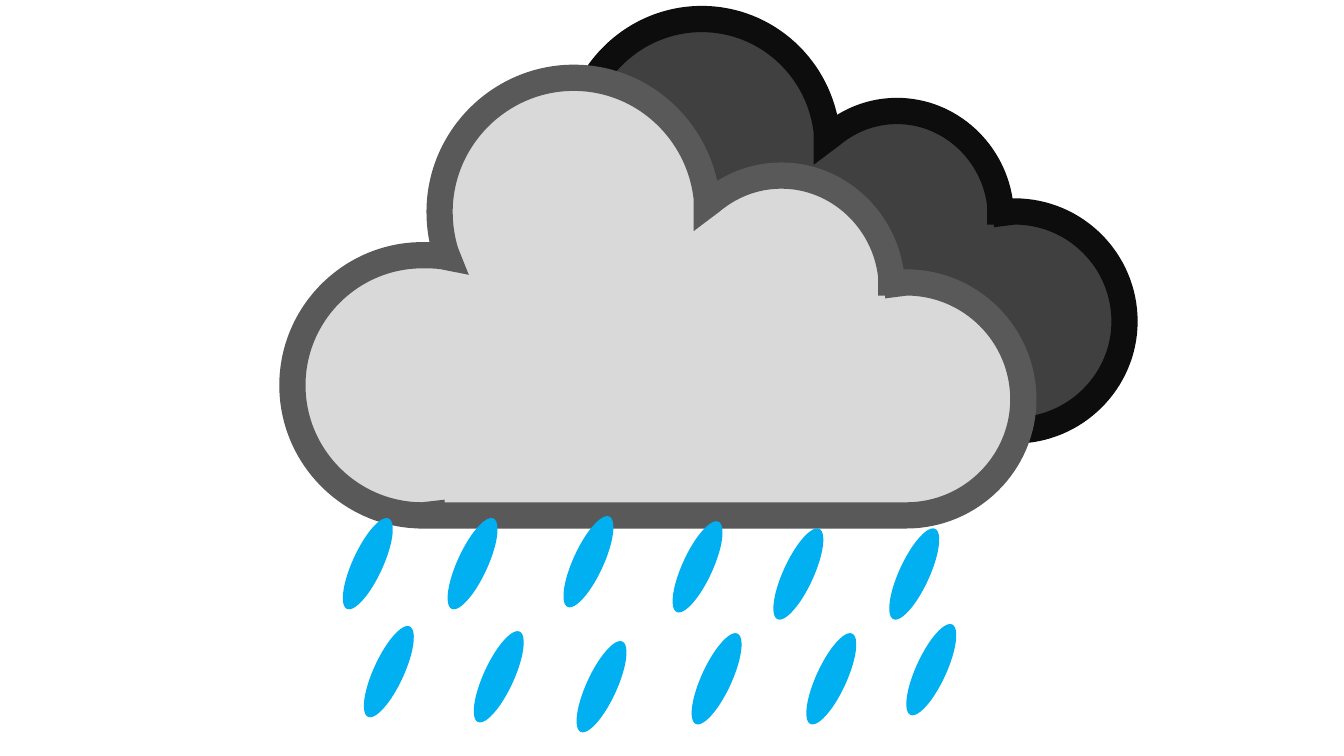
from lxml.etree import SubElement
from pptx import Presentation
from pptx.dml.color import RGBColor as Rgb
from pptx.enum.shapes import MSO_SHAPE as Kind
from pptx.oxml.ns import qn
from pptx.util import Cm, Pt

HUES = {"dark": "404040", "black": "0D0D0D", "light": "D9D9D9",
        "gray": "595959", "rain": "00B0F0"}

# Cloud outline on a 725-unit wide grid: one point is a line, three a curve.
START = (279, 0)
WIDE = 725
EDGES = [
    [(348, 0), (404, 53), (411, 120)],
    [(411, 126)],
    [(415, 123)],
    [(434, 107), (458, 97), (485, 97)],
    [(541, 97), (588, 141), (594, 197)],
    [(594, 203)],
    [(601, 203)],
    [(601, 204)],
    [(609, 203)],
    [(673, 203), (725, 255), (725, 319)],
    [(725, 382), (673, 434), (609, 434)],
    [(601, 434)],
    [(138, 434)],
    [(138, 433)],
    [(129, 434)],
    [(58, 434), (0, 376), (0, 305)],
    [(0, 234), (58, 176), (129, 176)],
    [(136, 176), (142, 176), (149, 177)],
    [(154, 178)],
    [(152, 173)],
    [(148, 160), (146, 147), (146, 133)],
    [(146, 60), (206, 0), START],
]

# Left, top and width in cm, then fill and line
CLOUDS = [(11.02, 0.48, 17.32, "dark", "black"),
          (7.37, 1.96, 18.42, "light", "gray")]

# Left and top of each drop in cm, upper row then lower row
DROPS = [(8.89, 12.95), (11.53, 12.95), (14.45, 12.9),
         (17.2, 13.03), (19.74, 13.21), (22.66, 13.21),
         (9.42, 15.67), (12.19, 15.8), (14.78, 16.05),
         (17.68, 15.85), (20.57, 15.85), (23.09, 15.62)]


def paint(shape, hue):
    shape.shadow.inherit = False
    shape.fill.solid()
    shape.fill.fore_color.rgb = Rgb.from_string(HUES[hue])


def bend(cloud):
    """Turn each run of three straight steps into one Bezier curve."""
    steps = iter(list(cloud._element.iter(qn("a:lnTo"))))
    for edge in EDGES:
        first = next(steps)
        if len(edge) == 3:
            first.tag = qn("a:cubicBezTo")
            for _ in range(2):
                step = next(steps)
                first.append(step[0])
                step.getparent().remove(step)


deck = Presentation()
deck.slide_width, deck.slide_height = Cm(33.87), Cm(19.05)
slide = deck.slides.add_slide(deck.slide_layouts[6])
storm = slide.shapes.add_group_shape().shapes

for left, top, width, fill, line in CLOUDS:
    pen = storm.build_freeform(*START, scale=Cm(width) / WIDE)
    pen.add_line_segments([point for edge in EDGES for point in edge])
    cloud = pen.convert_to_shape(Cm(left), Cm(top))
    bend(cloud)
    paint(cloud, fill)
    cloud.line.color.rgb = Rgb.from_string(HUES[line])
    cloud.line.width = Pt(18.75)
    SubElement(cloud.line._get_or_add_ln(), qn("a:miter"), lim="800000")

for left, top in DROPS:
    drop = storm.add_shape(Kind.OVAL, Cm(left), Cm(top), Cm(0.76), Cm(2.51))
    drop.rotation = 24.8
    paint(drop, "rain")
    drop.line.fill.background()

deck.save("out.pptx")
